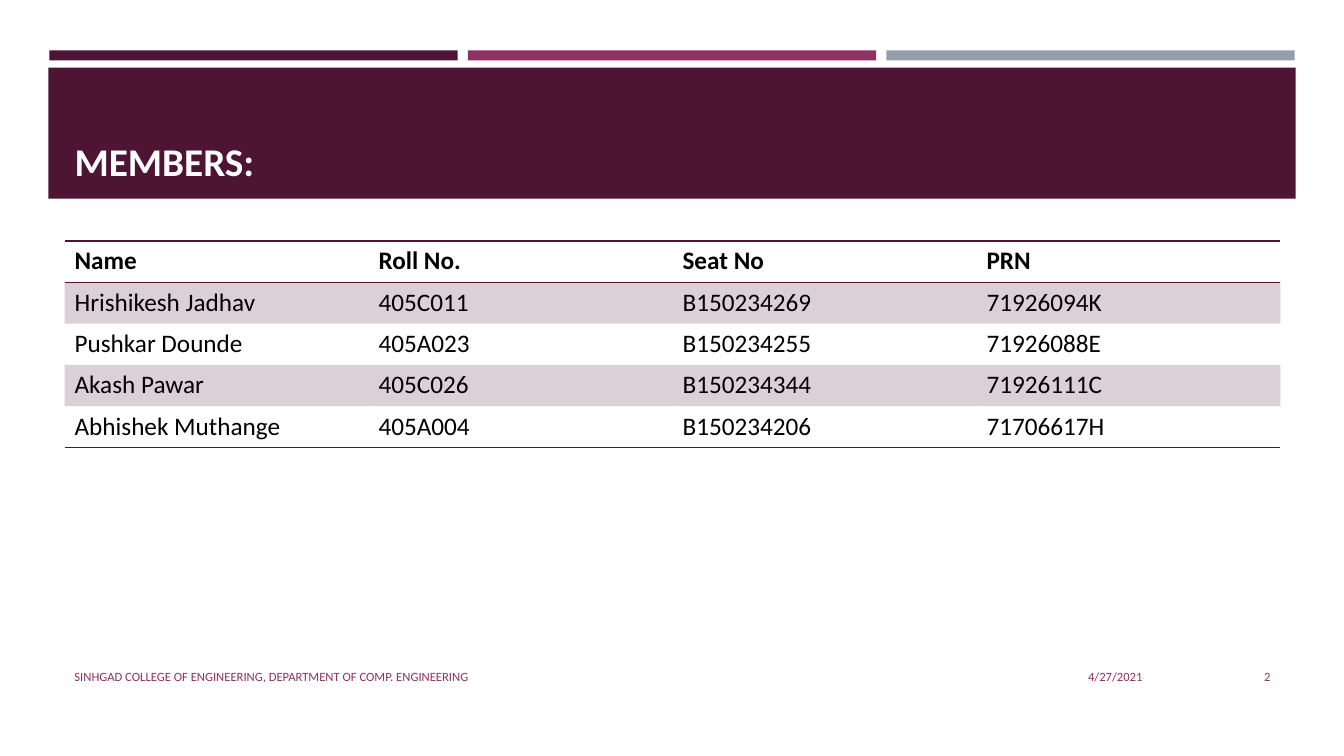
from lxml import etree
from pptx import Presentation
from pptx.dml.color import RGBColor
from pptx.enum.shapes import MSO_SHAPE
from pptx.enum.text import MSO_ANCHOR, MSO_AUTO_SIZE, PP_ALIGN
from pptx.oxml.ns import qn
from pptx.util import Inches, Pt

RECT = MSO_SHAPE.RECTANGLE
LEFT, RIGHT = PP_ALIGN.LEFT, PP_ALIGN.RIGHT
TOP, MIDDLE, BOTTOM = MSO_ANCHOR.TOP, MSO_ANCHOR.MIDDLE, MSO_ANCHOR.BOTTOM
NO_FIT = MSO_AUTO_SIZE.NONE

PLUM = RGBColor(0x4D, 0x14, 0x34)
ROSE = RGBColor(0x90, 0x31, 0x63)
GREY = RGBColor(0x96, 0x9F, 0xA7)
WHITE = RGBColor(0xFF, 0xFF, 0xFF)
BLACK = RGBColor(0, 0, 0)
FONT = "Calibri"
PLAIN_STYLE = "{2D5ABB26-0587-4C30-8999-92F81FD0307C}"

TITLE = "MEMBERS:"
MEMBERS = [
    ("Name", "Roll No.", "Seat No", "PRN"),
    ("Hrishikesh Jadhav", "405C011", "B150234269", "71926094K"),
    ("Pushkar Dounde", "405A023", "B150234255", "71926088E"),
    ("Akash Pawar", "405C026", "B150234344", "71926111C"),
    ("Abhishek Muthange", "405A004", "B150234206", "71706617H"),
]
# text, left, width, alignment
FOOTER = [
    ("4/27/2021", 8.32, 3.11, RIGHT),
    ("SINHGAD COLLEGE OF ENGINEERING, DEPARTMENT OF COMP. ENGINEERING",
     0.64, 7.56, LEFT),
    ("2", 11.55, 1.15, RIGHT),
]
STRIPES = [PLUM, ROSE, GREY]
EDGE, STRIPE_W, STEP = 0.49, 4.05, 4.15
MARGIN, BODY_W, ROW_H = 0.64, 12.06, 0.41


def write(frame, text, size, color, bold=False, align=LEFT, anchor=TOP):
    frame.word_wrap = True
    frame.auto_size = NO_FIT
    frame.vertical_anchor = anchor
    set_text(frame.paragraphs[0], text, size, color, bold, align)


def set_text(para, text, size, color, bold=False, align=LEFT):
    para.alignment = align
    run = para.add_run()
    run.text = text
    font = run.font
    font.name, font.size, font.bold = FONT, Pt(size), bold
    font.color.rgb = color


def add_bar(shapes, left, top, width, height, color):
    bar = shapes.add_shape(RECT, Inches(left), Inches(top),
                           Inches(width), Inches(height))
    bar.shadow.inherit = False
    bar.fill.solid()
    bar.fill.fore_color.rgb = color
    bar.line.fill.background()


def rule(cell, sides):
    """Draw plum lines on the given cell sides, in the order T, B."""
    props = cell._tc.get_or_add_tcPr()
    for spot, side in enumerate(sides):
        line = etree.Element(qn("a:ln" + side), w=str(Pt(1)))
        fill = etree.SubElement(line, qn("a:solidFill"))
        etree.SubElement(fill, qn("a:srgbClr"), val=str(PLUM))
        props.insert(spot, line)


def tint(cell):
    cell.fill.solid()
    cell.fill.fore_color.rgb = PLUM
    color = cell._tc.tcPr.find(".//" + qn("a:srgbClr"))
    etree.SubElement(color, qn("a:alpha"), val="20000")


def add_members(shapes):
    rows, cols = len(MEMBERS), len(MEMBERS[0])
    table = shapes.add_table(rows, cols, Inches(MARGIN), Inches(2.39),
                             Inches(BODY_W), Inches(rows * ROW_H)).table
    table._tbl.tblPr.find(qn("a:tableStyleId")).text = PLAIN_STYLE
    for row, values in enumerate(MEMBERS):
        table.rows[row].height = Inches(ROW_H)
        for col, value in enumerate(values):
            cell = table.cell(row, col)
            set_text(cell.text_frame.paragraphs[0], value, 18, BLACK,
                     bold=row == 0)
            if row % 2:
                tint(cell)
            else:
                cell.fill.background()
            if row == 0:
                rule(cell, "TB")
            elif row == rows - 1:
                rule(cell, "B")


def main():
    deck = Presentation()
    deck.slide_width, deck.slide_height = Inches(13.33), Inches(7.5)
    slide = deck.slides.add_slide(deck.slide_layouts[5])
    shapes = slide.shapes

    for i, color in enumerate(STRIPES):
        add_bar(shapes, EDGE + i * STEP, 0.5, STRIPE_W, 0.1, color)
    add_bar(shapes, 0.48, 0.67, 12.37, 1.3, PLUM)

    title = shapes.title
    title.left, title.top = Inches(MARGIN), Inches(0.77)
    title.width, title.height = Inches(BODY_W), Inches(1.11)
    write(title.text_frame, TITLE, 28, WHITE, bold=True, anchor=BOTTOM)
    shapes._spTree.append(title._element)  # bring in front of the band

    add_members(shapes)
    for text, left, width, align in FOOTER:
        box = shapes.add_textbox(Inches(left), Inches(6.51),
                                 Inches(width), Inches(0.4))
        write(box.text_frame, text, 9, ROSE, align=align, anchor=MIDDLE)
    deck.save("out.pptx")


if __name__ == "__main__":
    main()
